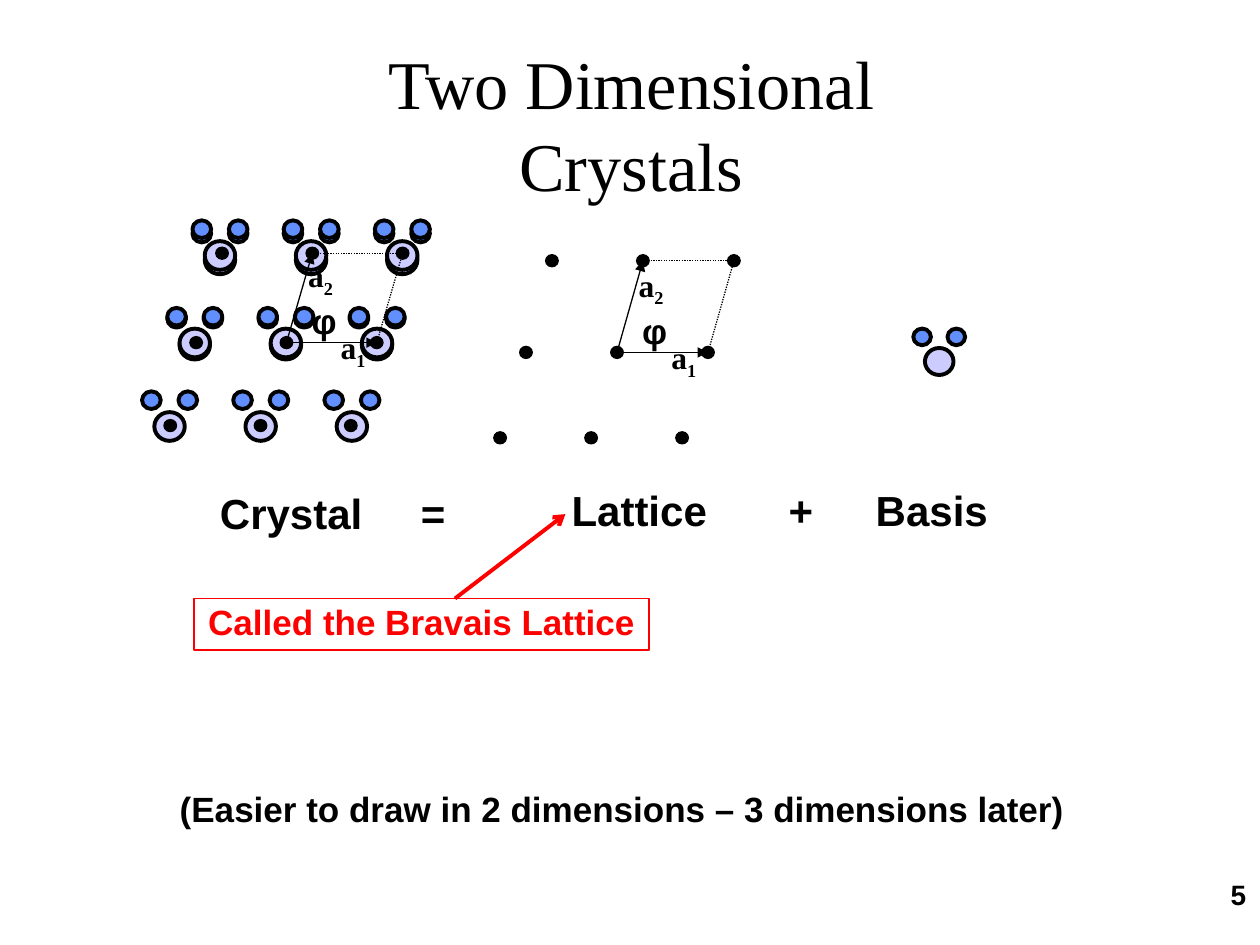
from dataclasses import dataclass

import pptx
import pptx.dml.color
import pptx.enum.dml
import pptx.enum.shapes
import pptx.enum.text
import pptx.oxml.ns
import pptx.util
from lxml import etree
from pptx.shapes.group import GroupShape
from pptx.slide import Slide
from pptx.util import Pt

BLACK, RED, LILAC, BLUE = "000000", "FF0000", "CCCCFF", "618FFD"
ALIGN = pptx.enum.text.PP_ALIGN
ANCHOR = pptx.enum.text.MSO_ANCHOR
COLUMNS = 3


@dataclass
class Label:
    text: str
    left: float
    top: float
    width: float
    height: float
    size: float
    font: str = "Arial"
    color: str = BLACK
    subscript: str = ""
    align: ALIGN = ALIGN.LEFT
    anchor: ANCHOR = ANCHOR.TOP
    spacing: float = 0.9
    tab: float = 0
    wrap: bool = False


@dataclass
class Lattice:
    left: float
    rows: tuple[float, ...]
    pitch: float
    shift: float = 14.8

    def point(self, row: int, column: int) -> tuple[float, float]:
        return self.left - row * self.shift + column * self.pitch, self.rows[row]


def rgb(color: str) -> pptx.dml.color.RGBColor:
    return pptx.dml.color.RGBColor.from_string(color)


def add_xml(parent, tag: str, **attributes: str):
    return etree.SubElement(parent, pptx.oxml.ns.qn(tag), **attributes)


def draw_label(parent: Slide | GroupShape, label: Label):
    shape = parent.shapes.add_textbox(
        Pt(label.left), Pt(label.top), Pt(label.width), Pt(label.height))
    frame = shape.text_frame
    frame.word_wrap = label.wrap
    frame.vertical_anchor = label.anchor
    frame.margin_left = frame.margin_right = Pt(7.9)
    frame.margin_top = frame.margin_bottom = Pt(3.9)
    paragraph = frame.paragraphs[0]
    paragraph.alignment = label.align
    paragraph.line_spacing = label.spacing
    if label.tab:
        tabs = add_xml(paragraph._p.get_or_add_pPr(), "a:tabLst")
        add_xml(tabs, "a:tab", pos=str(Pt(label.tab)), algn="l")
    paragraph.add_run().text = label.text
    if label.subscript:
        run = paragraph.add_run()
        run.text = label.subscript
        run._r.get_or_add_rPr().set("baseline", "-25000")
    paragraph.font.name = label.font
    paragraph.font.size = Pt(label.size)
    paragraph.font.bold = True
    paragraph.font.color.rgb = rgb(label.color)
    return shape


def draw_ellipse(group: GroupShape, center: tuple[float, float], width: float,
                 height: float, fill: str, line_width: float) -> None:
    x, y = center
    shape = group.shapes.add_shape(
        pptx.enum.shapes.MSO_SHAPE.OVAL,
        Pt(x - width / 2), Pt(y - height / 2), Pt(width), Pt(height))
    shape.shadow.inherit = False
    shape.fill.solid()
    shape.fill.fore_color.rgb = rgb(fill)
    shape.line.color.rgb = rgb(BLACK)
    shape.line.width = Pt(line_width)


def draw_line(parent: Slide | GroupShape, start: tuple[float, float],
              end: tuple[float, float], head: str = "",
              color: str = BLACK, width: float = 0.75) -> None:
    connector = parent.shapes.add_connector(
        pptx.enum.shapes.MSO_CONNECTOR.STRAIGHT, *map(Pt, start + end))
    connector.line.color.rgb = rgb(color)
    connector.line.width = Pt(width)
    if head:
        add_xml(connector.line._get_or_add_ln(), "a:tailEnd", type=head)
    else:
        connector.line.dash_style = pptx.enum.dml.MSO_LINE.ROUND_DOT
    add_xml(connector._element.spPr, "a:effectLst")


def draw_molecule(group: GroupShape, center: tuple[float, float],
                  scale: float = 1) -> None:
    x, y = center
    draw_ellipse(group, center, 17.4 * scale, 16.4 * scale, LILAC, 2.25)
    for side in (1, -1):
        atom = (x + side * 10.4 * scale, y - 15 * scale)
        draw_ellipse(group, atom, 10.7 * scale, 10.1 * scale, BLUE, 2.25)


def draw_molecules(group: GroupShape, lattice: Lattice) -> None:
    for row in reversed(range(len(lattice.rows))):
        for column in range(COLUMNS):
            draw_molecule(group, lattice.point(row, column))


def draw_lattice(group: GroupShape, lattice: Lattice) -> None:
    origin, right = lattice.point(1, 1), lattice.point(1, 2)
    upper, corner = lattice.point(0, 1), lattice.point(0, 2)
    x, y = origin
    draw_line(group, origin, right, "triangle")
    draw_line(group, origin, upper, "triangle")
    draw_line(group, upper, corner)
    draw_line(group, right, corner)
    for row in range(len(lattice.rows)):
        for column in range(COLUMNS):
            draw_ellipse(group, lattice.point(row, column), 7.2, 6.9, BLACK, 0.75)
    centered = {"align": ALIGN.CENTER, "anchor": ANCHOR.MIDDLE, "spacing": 1.0}
    for subscript, left, top in (("1", 23, -12.2), ("2", 4.3, -53.6)):
        draw_label(group, Label("a", x + left, y + top, 30.2, 32.4, 18,
                                "Times New Roman", subscript=subscript, **centered))
    draw_label(group, Label("φ", x + 6.5, y - 29, 26.6, 32.4, 20, **centered))


def format_title(slide: Slide) -> None:
    title = slide.shapes.title
    title.left, title.top = Pt(152), Pt(21.6)
    title.width, title.height = Pt(417.6), Pt(98)
    frame = title.text_frame
    frame.text = "Two Dimensional Crystals"
    frame.word_wrap = True
    frame.vertical_anchor = ANCHOR.MIDDLE
    frame.margin_left = frame.margin_right = Pt(5.8)
    frame.margin_top = frame.margin_bottom = Pt(2.2)
    paragraph = frame.paragraphs[0]
    paragraph.alignment = ALIGN.CENTER
    paragraph.line_spacing = 1.0
    paragraph.font.name = "Times New Roman"
    paragraph.font.size = Pt(39)
    paragraph.font.color.rgb = rgb(BLACK)


def main() -> None:
    presentation = pptx.Presentation()
    presentation.slide_width, presentation.slide_height = Pt(720), Pt(540)
    slide = presentation.slides.add_slide(presentation.slide_layouts[5])
    format_title(slide)

    crystal = slide.shapes.add_group_shape()
    for rows in ((148.5, 197.2), (146, 196, 243.7)):
        draw_molecules(crystal, Lattice(125.7, rows, 52.1, 14.4))
    draw_lattice(crystal, Lattice(126.9, (144.7, 195.8, 243.2), 51.6))
    draw_lattice(slide.shapes.add_group_shape(),
                 Lattice(315.4, (149, 201.4, 250.2), 52))
    draw_molecule(slide.shapes.add_group_shape(), (536.7, 206.6), 0.94)

    labels = (
        Label("5", 564.5, 499.7, 155.5, 40.3, 16, align=ALIGN.RIGHT, wrap=True),
        Label("(Easier to draw in 2 dimensions – 3 dimensions later)",
              94.8, 448.6, 522, 29.5, 20),
        Label("Crystal\t=", 117.8, 277.9, 152, 33.8, 24, tab=114.8),
        Label("Lattice\t+", 318.7, 276.5, 154, 33.8, 24, tab=124),
        Label("Basis", 492.5, 276.5, 80.6, 33.8, 24),
    )
    for label in labels:
        draw_label(slide, label)

    callout = draw_label(slide, Label("Called the Bravais Lattice",
                                      111.1, 342, 260, 29.5, 20, color=RED))
    callout.line.color.rgb = rgb(RED)
    callout.line.width = Pt(1)
    draw_line(slide, (260, 342), (323.1, 293.8), "arrow", RED, 2.25)
    presentation.save("out.pptx")


if __name__ == "__main__":
    main()
